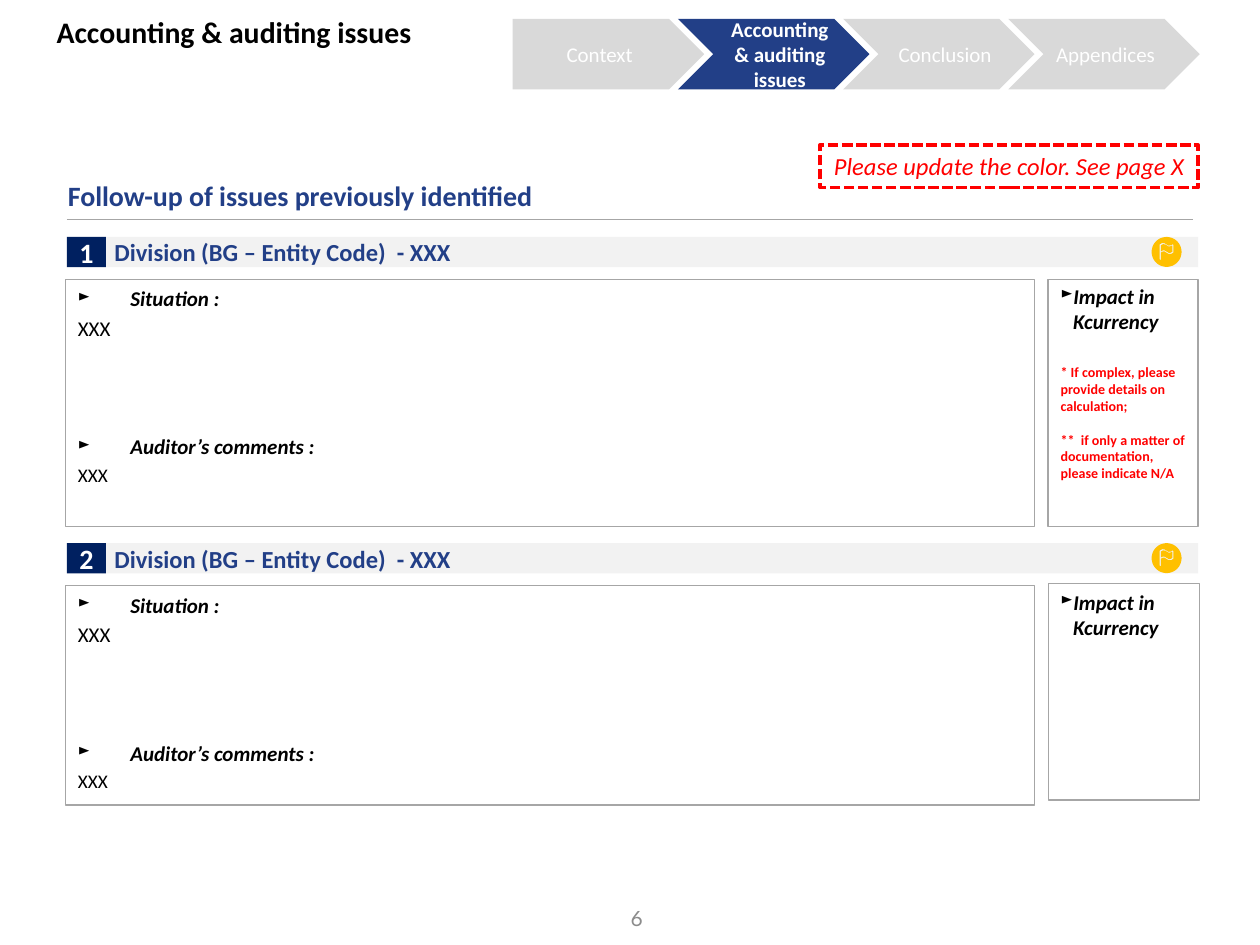
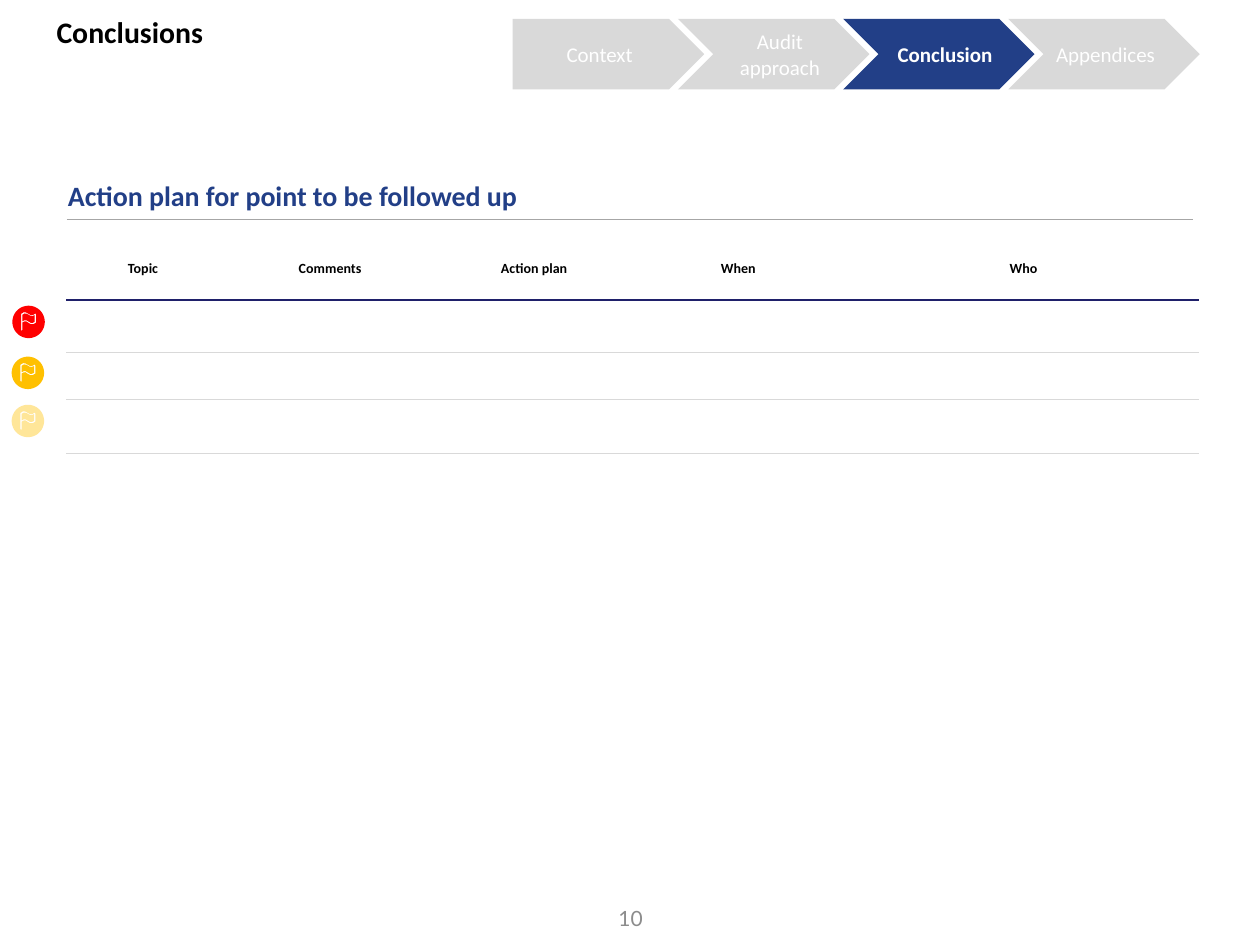
from math import cos, pi, sin

from lxml import etree
from pptx import Presentation
from pptx.dml.color import RGBColor
from pptx.enum.dml import MSO_LINE
from pptx.enum.shapes import MSO_CONNECTOR, MSO_SHAPE
from pptx.enum.text import MSO_ANCHOR, PP_ALIGN
from pptx.oxml.ns import qn
from pptx.util import Pt

RECT, HOME, CHEV = MSO_SHAPE.RECTANGLE, MSO_SHAPE.PENTAGON, MSO_SHAPE.CHEVRON
LEFT, MID, RIGHT, FULL = PP_ALIGN.LEFT, PP_ALIGN.CENTER, PP_ALIGN.RIGHT, PP_ALIGN.JUSTIFY
TOP, CENTRE = MSO_ANCHOR.TOP, MSO_ANCHOR.MIDDLE

BLACK = RGBColor(0x00, 0x00, 0x00)
WHITE = RGBColor(0xFF, 0xFF, 0xFF)
BLUE = RGBColor(0x22, 0x3F, 0x87)
NAVY = RGBColor(0x00, 0x20, 0x60)
INK = RGBColor(0x1F, 0x20, 0x6A)
RED = RGBColor(0xFF, 0x00, 0x00)
AMBER = RGBColor(0xFF, 0xC0, 0x00)
CREAM = RGBColor(0xFF, 0xE6, 0x99)
PALE = RGBColor(0xF2, 0xF2, 0xF2)
SILVER = RGBColor(0xD9, 0xD9, 0xD9)
GREY = RGBColor(0xA6, 0xA6, 0xA6)
FOOT = RGBColor(0x8C, 0x8C, 0x8C)

# Content
ISSUES = {
    "title": "Accounting & auditing issues",
    "head": "Follow-up of issues previously identified",
    "steps": ["Context", "Accounting & auditing issues", "Conclusion", "Appendices"],
    "now": 1,
    "page": "6",
}
PLAN = {
    "title": "Conclusions",
    "head": "Action plan for point to be followed up",
    "steps": ["Context", "Audit approach", "Conclusion", "Appendices"],
    "now": 2,
    "page": "10",
}
NOTE = "Please update the color. See page X"
NAME = "Division (BG – Entity Code)  - XXX"
STRONG = {"bold": True, "italic": True}
TINY = {"size": 8, "bold": True, "color": RED}
DETAIL = [
    ("Situation :", {**STRONG, "bullet": 30}),
    ("XXX", {"before": 2.4}),
    ("Auditor’s comments :", {**STRONG, "bullet": 30, "before": 53.5}),
    ("XXX", {"size": 11, "before": 2.2}),
]
IMPACT = [("Impact in Kcurrency", {**STRONG, "bullet": 7.2})]
HINTS = [
    ("* If complex, please provide details on calculation;", {**TINY, "before": 17}),
    ("**  if only a matter of documentation, please indicate N/A", {**TINY, "before": 9.8}),
]
BLOCKS = [("1", 141.1), ("2", 125.3)]  # number, height of its detail box
COLS = [("Topic", 87.1), ("Comments", 126.7), ("Action plan", 106.6),
        ("When", 126.7), ("Who", 199.4)]
ROWS = [35.3, 30.2, 26.6, 31]
RULES = [WHITE, INK, SILVER, SILVER, SILVER]
FLAGS = [(7.1, 174.7, RED), (6.7, 203.8, AMBER), (6.7, 231.3, CREAM)]

# Flag cut out of a disc, in thousandths of its width
DISC = [(500 + 500 * cos(k * pi / 32), 500 + 500 * sin(k * pi / 32)) for k in range(64)]
EDGE = [(270, 250), (350, 200), (430, 210), (500, 250), (570, 290), (650, 280),
        (710, 240), (730, 270), (730, 520), (650, 570), (570, 570), (500, 530),
        (420, 480), (360, 490), (310, 520), (310, 750), (290, 780), (270, 750)]
CLOTH = [(310, 280), (380, 240), (450, 250), (500, 280), (570, 320), (640, 310),
         (690, 290), (690, 500), (620, 530), (570, 530), (500, 490), (430, 450),
         (370, 450), (310, 480)]


def style(para, text, size=12, color=BLACK, bold=False, italic=False,
          face="Calibri", align=LEFT, before=0, bullet=0):
    para.text = text
    if bullet:
        props = para._p.get_or_add_pPr()
        props.set("marL", str(Pt(bullet)))
        props.set("indent", str(-Pt(bullet)))
        etree.SubElement(props, qn("a:buSzPct"), val="75000")
        etree.SubElement(props, qn("a:buChar"), char="►")
    para.alignment = align
    para.space_before = Pt(before)
    font = para.font
    font.name, font.size, font.bold, font.italic = face, Pt(size), bold, italic
    font.color.rgb = color


def write(shape, paras, anchor=TOP, pads=(7.2, 3.6, 7.2, 3.6)):
    frame = shape.text_frame
    frame.word_wrap = True
    frame.vertical_anchor = anchor
    (frame.margin_left, frame.margin_top,
     frame.margin_right, frame.margin_bottom) = map(Pt, pads)
    for i, (text, look) in enumerate(paras):
        style(frame.add_paragraph() if i else frame.paragraphs[0], text, **look)


def label(slide, box, text, anchor=TOP, **look):
    write(slide.shapes.add_textbox(*map(Pt, box)), [(text, look)], anchor)


def block(slide, box, kind=RECT, fill=None, line=None, width=0.75):
    shape = slide.shapes.add_shape(kind, *map(Pt, box))
    shape.shadow.inherit = False
    if fill is None:
        shape.fill.background()
    else:
        shape.fill.solid()
        shape.fill.fore_color.rgb = fill
    if line is None:
        shape.line.fill.background()
    else:
        shape.line.color.rgb = line
        shape.line.width = Pt(width)
    return shape


def flag(slide, x, y, size, color):
    form = slide.shapes.build_freeform(*DISC[0], scale=Pt(size) / 1000)
    form.add_line_segments(DISC[1:])
    for ring in (EDGE, CLOTH):
        form.move_to(*ring[0])
        form.add_line_segments(ring[1:])
    shape = form.convert_to_shape(Pt(x), Pt(y))
    shape.shadow.inherit = False
    shape.fill.solid()
    shape.fill.fore_color.rgb = color
    shape.line.fill.background()


def base(deck, data):
    """Blank slide with title, step arrows, heading, rule and page number."""
    slide = deck.slides.add_slide(deck.slide_layouts[6])
    label(slide, (25.2, 4.3, 264, 67), data["title"], size=17, bold=True)
    label(slide, (31.7, 98.6, 653.8, 32.4), data["head"],
          size=16, bold=True, color=BLUE, align=FULL)
    rule = slide.shapes.add_connector(
        MSO_CONNECTOR.STRAIGHT, Pt(38.2), Pt(125.3), Pt(681.8), Pt(125.3))
    rule.line.color.rgb = GREY
    rule.line.width = Pt(0.5)
    etree.SubElement(rule._element.spPr, qn("a:effectLst"))
    label(slide, (212.4, 510.5, 162, 28.8), data["page"], CENTRE,
          face="Lato", color=FOOT, align=RIGHT)
    last = len(data["steps"]) - 1
    for i, step in enumerate(data["steps"]):
        now = i == data["now"]
        arrow = block(slide, (293 + 94.4 * i, 10.8, 109.4, 40.3),
                      CHEV if i else HOME, BLUE if now else SILVER)
        look = {"color": WHITE, "bold": now, "align": LEFT if i == last else MID}
        write(arrow, [(step, look)], CENTRE, (7.2, 7.2, 0 if i else 7.2, 7.2))
    return slide


def issues(deck):
    slide = base(deck, ISSUES)
    note = block(slide, (468.7, 82.8, 216, 24.5), line=RED, width=2)
    note.line.dash_style = MSO_LINE.SQUARE_DOT
    write(note, [(NOTE, {"size": 14, "italic": True, "color": RED, "align": MID})])
    for i, (num, tall) in enumerate(BLOCKS):
        top = 135.4 + 175 * i
        # Banner with number and flag
        write(block(slide, (58.3, top, 626.4, 17.3), fill=PALE),
              [(NAME, {"size": 14, "bold": True, "color": BLUE})], CENTRE)
        write(block(slide, (38.2, top, 22.3, 17.3), fill=NAVY),
              [(num, {"size": 16, "bold": True, "color": WHITE})], CENTRE)
        flag(slide, 658.1, top, 17.1, AMBER)
        # Detail and impact boxes
        write(block(slide, (37.4, top + 24.4, 553.7, tall), line=GREY), DETAIL)
        side = (599, top + 23, 86.4, 123.8)
        if i:
            write(block(slide, side, line=GREY), IMPACT)
        else:
            write(slide.shapes.add_textbox(*map(Pt, side)), IMPACT + HINTS)
            block(slide, (599, top + 24.4, 85.7, tall), line=GREY, width=1)


def border(cell, side, color):
    line = etree.Element(qn("a:" + side), w=str(Pt(1)))
    fill = etree.SubElement(line, qn("a:solidFill"))
    etree.SubElement(fill, qn("a:srgbClr"), val=str(color))
    cell._tc.get_or_add_tcPr().insert(0, line)


def plan(deck):
    slide = base(deck, PLAN)
    wide = sum(width for _, width in COLS)
    grid = slide.shapes.add_table(len(ROWS), len(COLS), Pt(38.2), Pt(136.1),
                                  Pt(wide), Pt(sum(ROWS))).table
    grid.horz_banding = False
    for c, (_, width) in enumerate(COLS):
        grid.columns[c].width = Pt(width)
    for r, tall in enumerate(ROWS):
        grid.rows[r].height = Pt(tall)
        for c, (name, _) in enumerate(COLS):
            cell = grid.cell(r, c)
            cell.fill.solid()
            cell.fill.fore_color.rgb = WHITE
            cell.vertical_anchor = CENTRE
            cell.margin_left = cell.margin_right = 0
            cell.margin_top = cell.margin_bottom = 0
            style(cell.text_frame.paragraphs[0], "" if r else name,
                  size=8, bold=True, align=MID)
            border(cell, "lnB", RULES[r + 1])
            border(cell, "lnT", RULES[r])
    for x, y, color in FLAGS:
        flag(slide, x, y, 18.5, color)


def main():
    deck = Presentation()
    deck.slide_width, deck.slide_height = Pt(720), Pt(540)
    issues(deck)
    plan(deck)
    deck.save("out.pptx")


if __name__ == "__main__":
    main()
